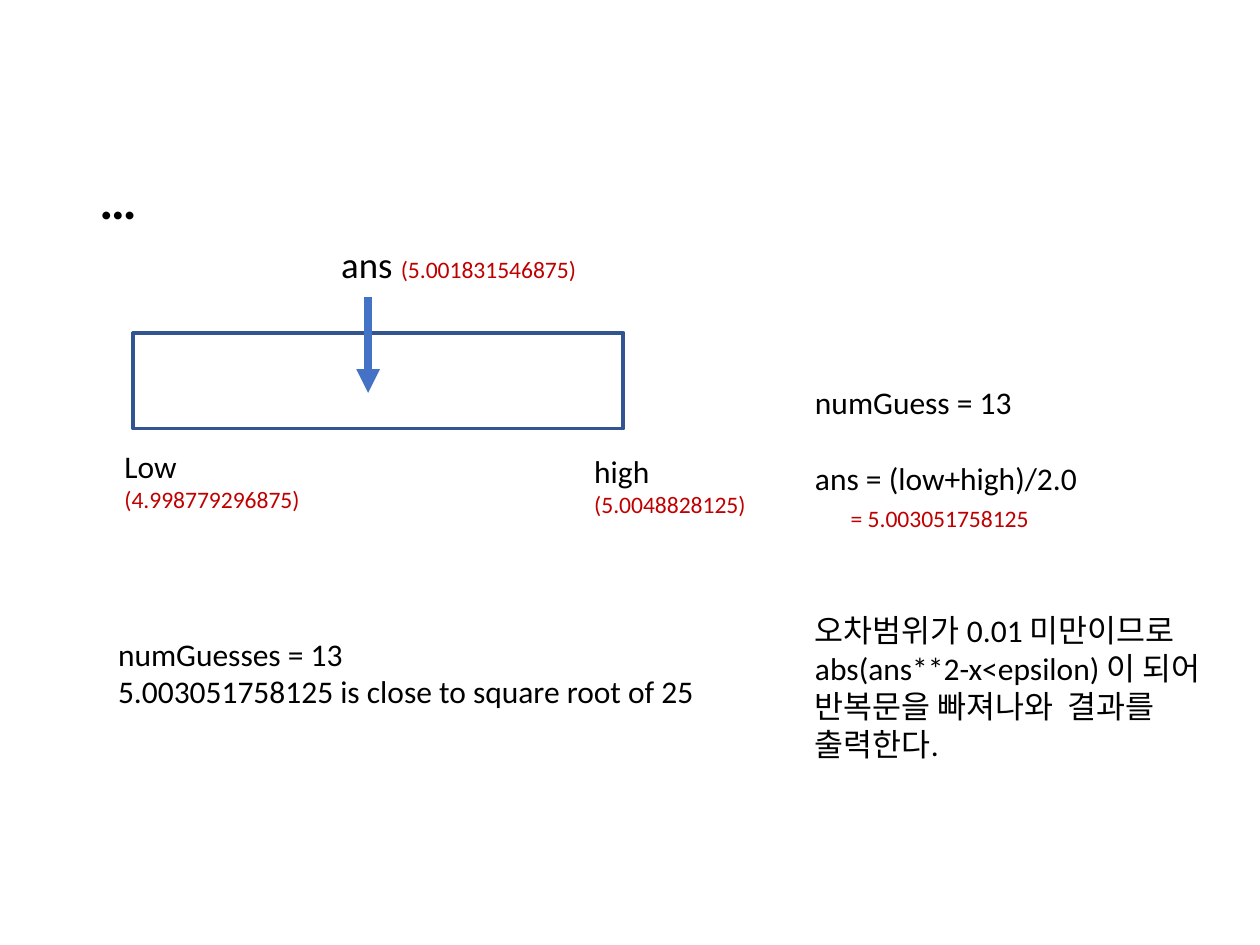
from dataclasses import dataclass

from lxml import etree
from pptx import Presentation
from pptx.dml.color import RGBColor
from pptx.enum.shapes import MSO_CONNECTOR, MSO_SHAPE
from pptx.enum.text import MSO_AUTO_SIZE
from pptx.oxml.ns import qn
from pptx.util import Cm, Pt

STRAIGHT = MSO_CONNECTOR.STRAIGHT
RECTANGLE = MSO_SHAPE.RECTANGLE
GROW = MSO_AUTO_SIZE.SHAPE_TO_FIT_TEXT


@dataclass(frozen=True)
class Theme:
    """Colours, font and type sizes of the slide."""
    font: str = "Calibri"
    ink: str = "000000"
    value: str = "C00000"
    paper: str = "FFFFFF"
    outline: str = "325491"
    arrow: str = "4472C4"
    heading: float = 30
    label: float = 21
    body: float = 18
    small: float = 13.5


THEME = Theme()


def rgb(code):
    """Turn a hex code into a colour."""
    return RGBColor.from_string(code)


def add_run(p, text, size=THEME.body, color=THEME.ink, bold=False):
    """Add formatted text to a paragraph."""
    r = p.add_run()
    r.text = text
    r.font.name = THEME.font
    r.font.size = Pt(size)
    r.font.bold = bold
    r.font.color.rgb = rgb(color)


def add_value(p, text):
    """Add a small red number to a paragraph."""
    add_run(p, text, size=THEME.small, color=THEME.value)


def add_box(s, left, top, width, height):
    """Add a wrapping text box and return its text frame."""
    tf = s.shapes.add_textbox(Cm(left), Cm(top), Cm(width), Cm(height)).text_frame
    tf.word_wrap = True
    tf.auto_size = GROW
    return tf


def add_lines(tf, lines):
    """Write pairs of text and space before, one paragraph each."""
    for i, (text, before) in enumerate(lines):
        p = tf.add_paragraph() if i else tf.paragraphs[0]
        p.space_before = Pt(before)
        add_run(p, text)


def add_bound(s, left, top, width, name, value):
    """Add the label of one end of the search interval."""
    tf = add_box(s, left, top, width, 1.6)
    add_run(tf.paragraphs[0], name)
    add_value(tf.add_paragraph(), value)


def add_heading(s, text):
    """Place the body placeholder without a bullet and drop the title."""
    title = s.shapes.title.element
    title.getparent().remove(title)
    sp = s.placeholders[1]
    sp.left, sp.top, sp.width, sp.height = Cm(1.75), Cm(3.38), Cm(21.9), Cm(11.79)
    p = sp.text_frame.paragraphs[0]
    p.line_spacing = 0.9
    p.space_before = Pt(10)
    pPr = p._p.get_or_add_pPr()
    pPr.set("marL", "0")
    pPr.set("indent", "0")
    etree.SubElement(pPr, qn("a:buNone"))
    add_run(p, text, size=THEME.heading, bold=True)


def add_interval(s):
    """Add the bar that stands for the search interval."""
    sp = s.shapes.add_shape(RECTANGLE, Cm(2.69), Cm(6.71), Cm(9.88), Cm(1.93))
    sp.shadow.inherit = False
    sp.fill.solid()
    sp.fill.fore_color.rgb = rgb(THEME.paper)
    sp.line.color.rgb = rgb(THEME.outline)
    sp.line.width = Pt(2.25)


def add_arrow(s, x, top, bottom):
    """Add a downward arrow."""
    line = s.shapes.add_connector(STRAIGHT, Cm(x), Cm(top), Cm(x), Cm(bottom))
    line.line.color.rgb = rgb(THEME.arrow)
    line.line.width = Pt(4.5)
    etree.SubElement(line.line._get_or_add_ln(), qn("a:tailEnd"), type="triangle")
    etree.SubElement(line._element.spPr, qn("a:effectLst"))


def add_answer(s):
    """Add the label above the arrow."""
    p = add_box(s, 6.63, 4.75, 6.07, 1.14).paragraphs[0]
    add_run(p, "ans ", size=THEME.label)
    add_value(p, "(5.001831546875)")


def add_explanation(s):
    """Add the calculation and the reason why the loop ends."""
    tf = add_box(s, 16.18, 7.59, 8.86, 10.24)
    add_lines(tf, [("numGuess = 13", 0), ("ans = (low+high)/2.0", 22)])
    p = tf.add_paragraph()
    p.space_before = Pt(4.3)
    p._p.get_or_add_pPr().set("marL", str(Cm(0.72)))
    add_value(p, "= 5.003051758125")
    p = tf.add_paragraph()
    p.space_before = Pt(45)
    add_run(p, "오차범위가 0.01 미만이므로")
    add_run(tf.add_paragraph(),
            "abs(ans**2-x<epsilon) 이 되어 반복문을 빠져나와  결과를 출력한다.")


def main():
    """Build the slide and save it."""
    prs = Presentation()
    prs.slide_width, prs.slide_height = Cm(25.4), Cm(19.05)
    s = prs.slides.add_slide(prs.slide_layouts[1])
    add_heading(s, "…")
    add_interval(s)
    add_bound(s, 11.73, 8.99, 3.73, "high", "(5.0048828125)")
    add_arrow(s, 7.42, 5.99, 7.92)
    add_answer(s)
    add_explanation(s)
    add_bound(s, 2.26, 8.89, 4.7, "Low", "(4.998779296875)")
    add_lines(add_box(s, 2.13, 12.67, 14.2, 1.8), [
        ("numGuesses = 13", 0),
        ("5.003051758125 is close to square root of 25", 0),
    ])
    prs.save("out.pptx")


main()
